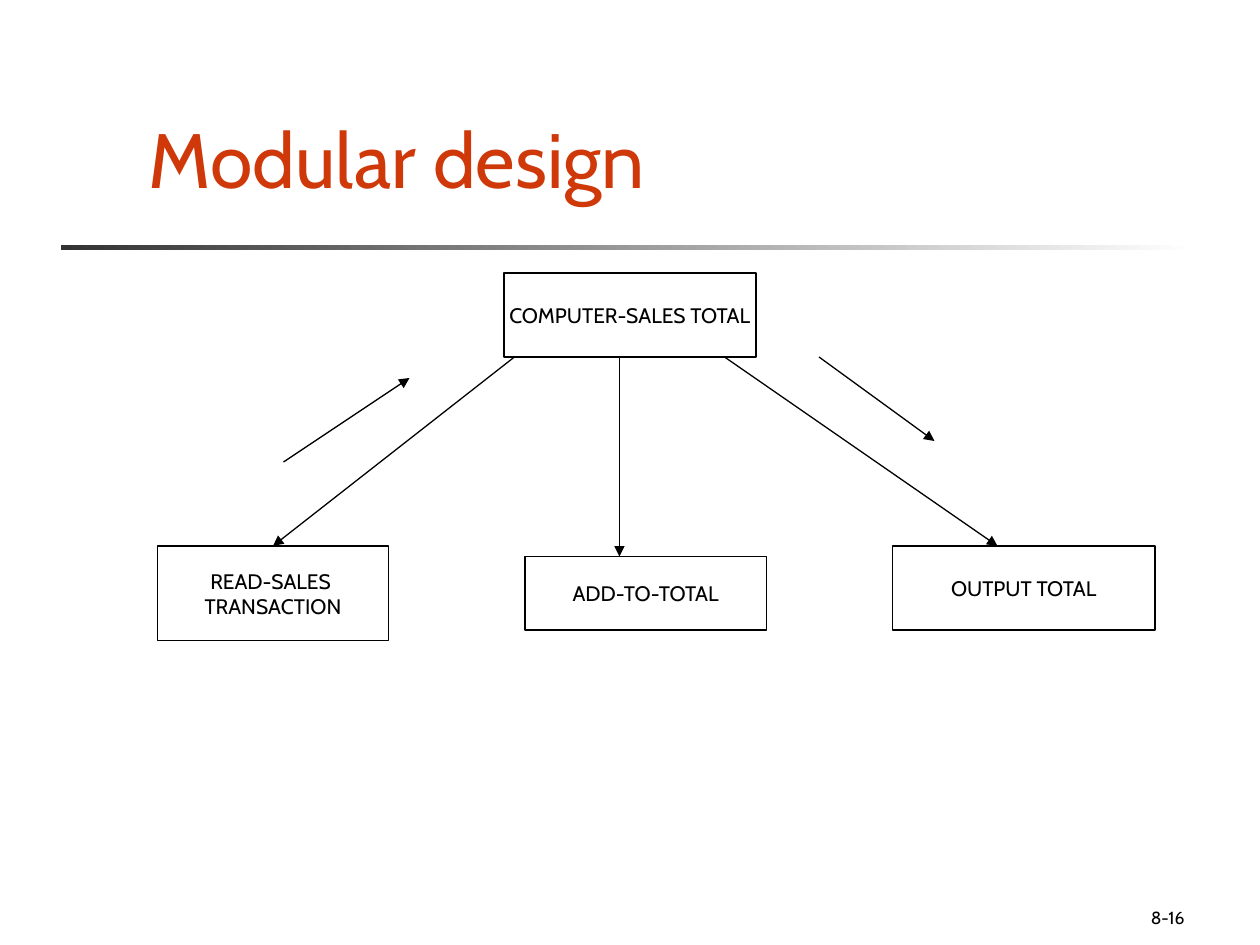
from dataclasses import dataclass

import pptx
import pptx.dml.color
import pptx.enum.shapes
import pptx.enum.text
import pptx.oxml.ns
import pptx.util
from lxml import etree

ALIGN = pptx.enum.text.PP_ALIGN
ANCHOR = pptx.enum.text.MSO_ANCHOR
RECTANGLE = pptx.enum.shapes.MSO_SHAPE.RECTANGLE
STRAIGHT = pptx.enum.shapes.MSO_CONNECTOR.STRAIGHT


@dataclass(frozen=True)
class Theme:
    font: str = "Cabin"
    ink: str = "000000"
    accent: str = "CF3809"
    rule_start: str = "333333"
    rule_end: str = "FFFFFF"
    title_size: int = 44
    module_size: int = 12
    number_size: int = 10
    line_width: float = 0.75


def rgb(code):
    return pptx.dml.color.RGBColor.from_string(code)


class ChartSlide:
    """A slide on a grid of 120 columns and 90 rows."""

    COLUMNS, ROWS = 120, 90

    def __init__(self, deck, theme):
        self.theme = theme
        self.slide = deck.slides.add_slide(deck.slide_layouts[6])
        self.column = deck.slide_width / self.COLUMNS
        self.row = deck.slide_height / self.ROWS

    def place(self, column, row):
        return round(column * self.column), round(row * self.row)

    def set_words(self, frame, words, size, color, align, anchor, wrap):
        frame.text = words
        frame.word_wrap = wrap
        frame.vertical_anchor = anchor
        for paragraph in frame.paragraphs:
            paragraph.alignment = align
            paragraph.font.name = self.theme.font
            paragraph.font.size = pptx.util.Pt(size)
            paragraph.font.color.rgb = rgb(color)

    def label(self, words, column, row, width, height, size, color, align):
        box = self.slide.shapes.add_textbox(*self.place(column, row), *self.place(width, height))
        self.set_words(box.text_frame, words, size, color, align, ANCHOR.BOTTOM, True)

    def rectangle(self, column, row, width, height):
        shape = self.slide.shapes.add_shape(
            RECTANGLE, *self.place(column, row), *self.place(width, height))
        shape.shadow.inherit = False
        return shape

    def rule(self, column, row, width, height):
        bar = self.rectangle(column, row, width, height)
        bar.line.fill.background()
        bar.fill.gradient()
        bar.fill.gradient_angle = 0
        colors = (self.theme.rule_start, self.theme.rule_end)
        for stop, color in zip(bar.fill.gradient_stops, colors):
            stop.color.rgb = rgb(color)

    def module(self, words, column, row, width, height):
        box = self.rectangle(column, row, width, height)
        box.fill.background()
        self.stroke(box.line)
        self.set_words(box.text_frame, words, self.theme.module_size, self.theme.ink,
                       ALIGN.CENTER, ANCHOR.MIDDLE, False)

    def stroke(self, line):
        line.color.rgb = rgb(self.theme.ink)
        line.width = pptx.util.Pt(self.theme.line_width)

    def arrow(self, start, end):
        link = self.slide.shapes.add_connector(STRAIGHT, *self.place(*start), *self.place(*end))
        self.stroke(link.line)
        qn = pptx.oxml.ns.qn
        properties = link._element.spPr
        etree.SubElement(properties.find(qn("a:ln")), qn("a:tailEnd"), type="triangle")
        etree.SubElement(properties, qn("a:effectLst"))


def main():
    deck = pptx.Presentation()
    deck.slide_width = pptx.util.Inches(10)
    deck.slide_height = pptx.util.Inches(7.5)
    theme = Theme()
    page = ChartSlide(deck, theme)

    # Heading, rule and page number
    page.rule(5.8, 23.35, 108, 0.45)
    page.label("8-16", 89, 83, 25, 6, theme.number_size, theme.ink, ALIGN.RIGHT)
    page.label("Modular design", 13, 5, 103.3, 15, theme.title_size, theme.accent, ALIGN.LEFT)

    # Main module and the modules it calls
    modules = [
        ("COMPUTER-SALES TOTAL", 48, 26, 24, 8),
        ("ADD-TO-TOTAL", 50, 53, 23, 7),
        ("READ-SALES \nTRANSACTION", 15, 52, 22, 9),
        ("OUTPUT TOTAL", 85, 52, 25, 8),
    ]
    for module in modules:
        page.module(*module)

    # Calls to the modules
    calls = [((49, 34), (26, 52)), ((59, 34), (59, 53)), ((69, 34), (95, 52))]
    # Data passed up and down
    data_flows = [((27, 44), (39, 36)), ((78, 34), (89, 42))]
    for start, end in calls + data_flows:
        page.arrow(start, end)

    deck.save("out.pptx")


if __name__ == "__main__":
    main()
